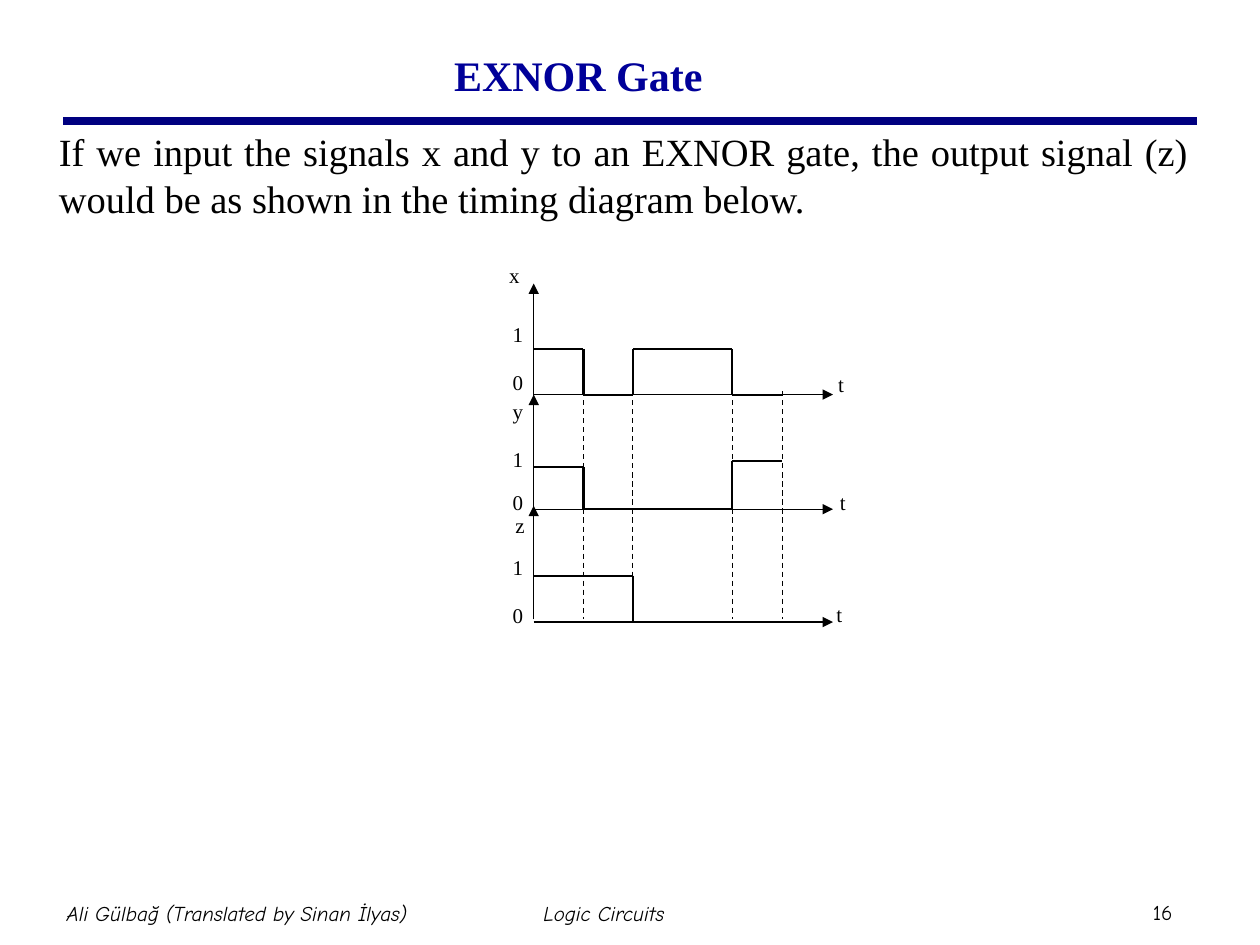
from itertools import pairwise

from lxml.etree import SubElement
from pptx import Presentation
from pptx.dml.color import RGBColor
from pptx.enum.dml import MSO_LINE
from pptx.enum.shapes import MSO_CONNECTOR
from pptx.enum.text import MSO_ANCHOR as Anchor, PP_ALIGN as Align
from pptx.oxml.ns import qn
from pptx.util import Pt

SERIF = "Times New Roman"
FOOTER_FONT = "Comic Neue"
EDGES = [15, 43.4, 71.6, 128.4, 157]
AXIS_END = 186
SIGNALS = [
    {"name": "x", "base": 75.5, "levels": [49.5, 75.5, 49.5, 75.5],
     "axis": (140, 12), "name_at": (1, 0), "one": 33.5, "zero": 61, "time": (189, 62.5)},
    {"name": "y", "base": 141, "levels": [117, 141, 141, 113.5],
     "axis": (101.5, 75.5), "name_at": (3, 77.5), "one": 105, "zero": 130, "time": (190, 129.5)},
    {"name": "z", "base": 205.5, "levels": [179, 179, 205.5, 205.5],
     "axis": (204, 139), "name_at": (4.5, 143), "one": 167, "zero": 194, "time": (188, 193.5)},
]


def color(value):
    return RGBColor.from_string(value)


def add_line(slide, start, end, width=0.75, line_color="000000", dashed=False, arrow=False):
    line = slide.shapes.add_connector(
        MSO_CONNECTOR.STRAIGHT, *(Pt(value) for value in (*start, *end)))
    line.line.color.rgb = color(line_color)
    line.line.width = Pt(width)
    if dashed:
        line.line.dash_style = MSO_LINE.DASH
    properties = line._element.spPr
    if arrow:
        SubElement(properties.find(qn("a:ln")), qn("a:tailEnd"), type="triangle")
    SubElement(properties, qn("a:effectLst"))


def add_text(slide, box, text, size, font=SERIF, text_color="000000", bold=False,
             italic=False, align=Align.LEFT, anchor=Anchor.TOP, margins=(0, 0), before=0):
    shape = slide.shapes.add_textbox(*(Pt(value) for value in box))
    text_frame = shape.text_frame
    text_frame.word_wrap = True
    text_frame.vertical_anchor = anchor
    text_frame.margin_left = text_frame.margin_right = Pt(margins[0])
    text_frame.margin_top = text_frame.margin_bottom = Pt(margins[1])
    text_frame.text = text
    paragraph = text_frame.paragraphs[0]
    paragraph.alignment = align
    paragraph.space_before = Pt(before)
    run_font = paragraph.runs[0].font
    run_font.name = font
    run_font.size = Pt(size)
    run_font.bold = bold
    run_font.italic = italic
    run_font.color.rgb = color(text_color)


def add_heading(slide, left, top, width):
    add_text(slide, (left - 11.5, top - 57.5, 612, 62), "EXNOR Gate", 24,
             text_color="000099", bold=True, align=Align.CENTER,
             anchor=Anchor.MIDDLE, margins=(7.2, 3.6))
    add_line(slide, (left, top), (left + width, top), 4.5, "000080")


def add_body(slide, left, top, width, height):
    add_text(slide, (left, top, width, height),
             "If we input the signals x and y to an EXNOR gate, the output signal (z) "
             "would be as shown in the timing diagram below.",
             22, align=Align.JUSTIFY, margins=(7.2, 3.6), before=4.4)


def add_signal(slide, left, top, signal):
    def at(x, y):
        return left + x, top + y

    base = signal["base"]
    axis_start, axis_end = signal["axis"]
    add_line(slide, at(EDGES[0], axis_start), at(EDGES[0], axis_end), arrow=True)
    add_line(slide, at(EDGES[0], base), at(AXIS_END, base), arrow=True)
    for (start, end), level in zip(pairwise(EDGES), signal["levels"]):
        add_line(slide, at(start, level), at(end, level), 1.25)
    for edge, (before, after) in zip(EDGES[1:], pairwise(signal["levels"])):
        if before != after:
            add_line(slide, at(edge, before), at(edge, after), 1.25)
    labels = [(signal["name"], signal["name_at"]), ("1", (3, signal["one"])),
              ("0", (3, signal["zero"])), ("t", signal["time"])]
    for text, position in labels:
        add_text(slide, (*at(*position), 14.4, 26), text, 12)


def add_timing_diagram(slide, left, top):
    for edge in EDGES[1:]:
        add_line(slide, (left + edge, top + 73.5), (left + edge, top + 204), dashed=True)
    for signal in SIGNALS:
        add_signal(slide, left, top, signal)


def add_footer(slide, left, top, height):
    margins = (3.6, 3.6)
    for offset, text in ((0, "Ali Gülbağ (Translated by Sinan İlyas)"),
                         (211.7, "Logic Circuits ")):
        add_text(slide, (left + offset, top, 257.8, height), text, 12, FOOTER_FONT,
                 italic=True, align=Align.CENTER, anchor=Anchor.MIDDLE, margins=margins)
    add_text(slide, (left + 648.7, top + 6.5, 34, 21.6), "16", 12, FOOTER_FONT,
             anchor=Anchor.MIDDLE, margins=margins)


def main():
    presentation = Presentation()
    presentation.slide_width = Pt(720)
    presentation.slide_height = Pt(540)
    slide = presentation.slides.add_slide(presentation.slide_layouts[6])
    add_heading(slide, 36, 69, 648)
    add_body(slide, 26.6, 69.8, 659.5, 399.6)
    add_timing_diagram(slide, 290, 150)
    add_footer(slide, 6.5, 504, 36)
    presentation.save("out.pptx")


if __name__ == "__main__":
    main()
